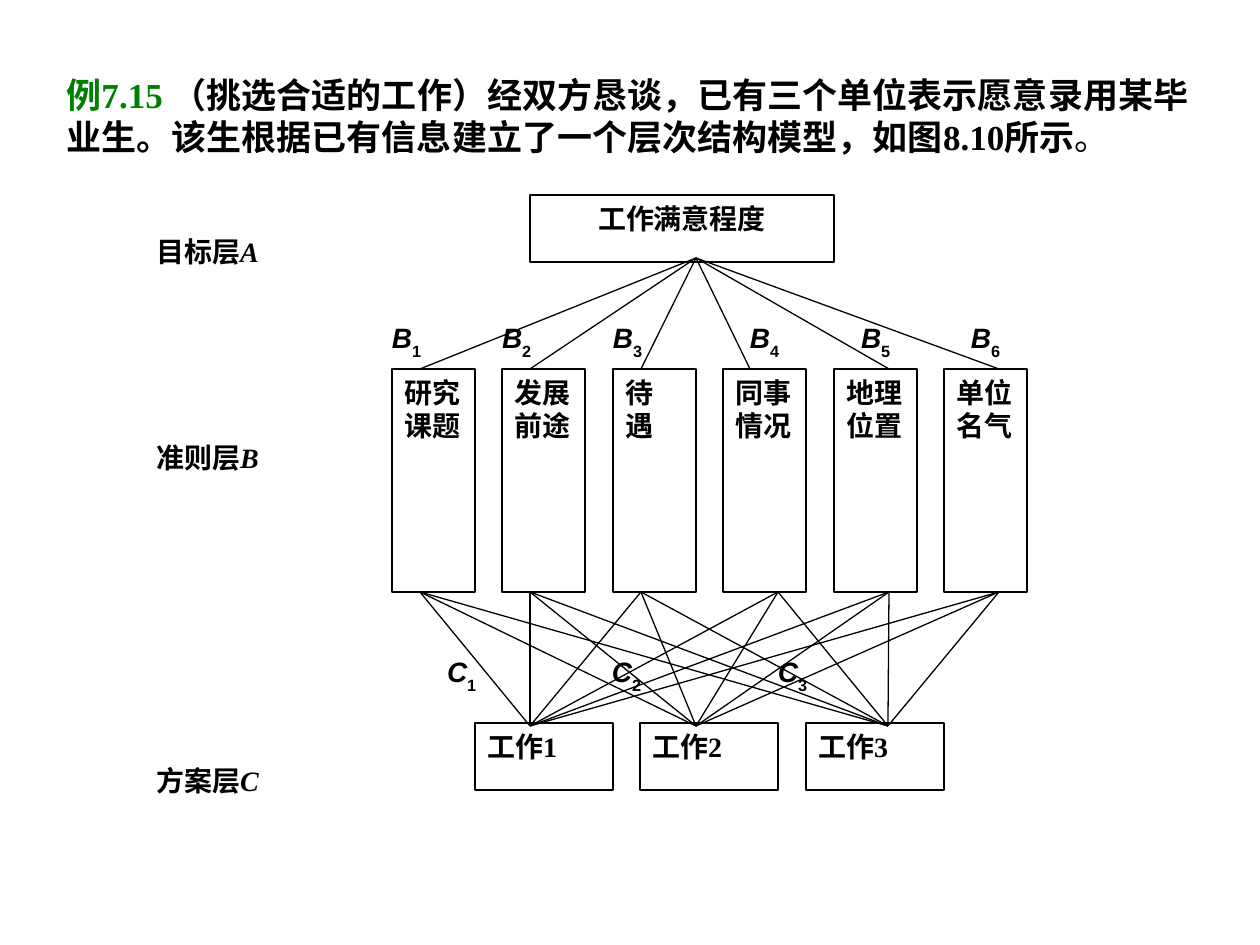
from lxml.etree import SubElement
from pptx import Presentation
from pptx.dml.color import RGBColor
from pptx.enum.shapes import MSO_CONNECTOR, MSO_SHAPE
from pptx.enum.text import MSO_ANCHOR, PP_ALIGN
from pptx.oxml.ns import qn
from pptx.util import Pt

PX = 914400 / 126
COLORS = {"ink": "000000", "paper": "FFFFFF", "green": "008000"}

deck = Presentation()
deck.slide_width, deck.slide_height = round(1260 * PX), round(945 * PX)
page = deck.slides.add_slide(deck.slide_layouts[6])


def add_text(paragraphs, place, *, framed=False, size=16, font="Times New Roman",
             align=PP_ALIGN.LEFT, anchor=MSO_ANCHOR.TOP, inset=True):
    """Each paragraph is a list of (text, format) spans; place is left, top, width, height in px."""
    place = [round(length * PX) for length in place]
    if framed:
        box = page.shapes.add_shape(MSO_SHAPE.RECTANGLE, *place)
        box.shadow.inherit = False
        box.fill.solid()
        box.fill.fore_color.rgb = RGBColor.from_string(COLORS["paper"])
        box.line.color.rgb = RGBColor.from_string(COLORS["ink"])
        box.line.width = Pt(0.75)
    else:
        box = page.shapes.add_textbox(*place)
    frame = box.text_frame
    frame.word_wrap = True
    frame.vertical_anchor = anchor
    if not inset:
        frame.margin_left = frame.margin_right = frame.margin_top = frame.margin_bottom = 0
    for index, spans in enumerate(paragraphs):
        para = frame.add_paragraph() if index else frame.paragraphs[0]
        para.alignment = align
        for text, style in spans:
            span = para.add_run()
            span.text = text
            span.font.name = font
            span.font.size = Pt(size)
            span.font.bold = style.get("bold", True)
            span.font.italic = style.get("italic", False)
            span.font.color.rgb = RGBColor.from_string(COLORS[style.get("color", "ink")])
            if style.get("subscript"):
                span.font._element.set("baseline", "-30000")


def add_line(start_x, start_y, end_x, end_y):
    ends = [round(length * PX) for length in (start_x, start_y, end_x, end_y)]
    line = page.shapes.add_connector(MSO_CONNECTOR.STRAIGHT, *ends)
    line.line.color.rgb = RGBColor.from_string(COLORS["ink"])
    line.line.width = Pt(0.75)
    SubElement(line._element.spPr, qn("a:effectLst"))


# Problem statement
add_text([[
    ("例7.15 ", {"color": "green"}),
    ("（挑选合适的工作）经双方恳谈，已有三个单位表示愿意录用某毕业生。"
     "该生根据已有信息建立了一个层次结构模型，如图8.10所示", {}),
    ("。", {"bold": False}),
]], (54, 67, 1152, 97), size=20, anchor=MSO_ANCHOR.MIDDLE)

# Names of the three levels
for name, letter, top in [("目标层", "A", 228), ("准则层", "B", 434), ("方案层", "C", 757)]:
    add_text([[(name, {}), (letter, {"italic": True})]], (144, top, 193, 34))

# Boxes of the hierarchy
CRITERIA = [["研究课题"], ["发展前途"], ["待", "遇"], ["同事情况"], ["地理位置"], ["单位名气"]]
criteria_top, criteria_height = 369, 223
criteria_bottom = criteria_top + criteria_height
criteria_lefts = [round(392 + 110.4 * column) for column in range(6)]
job_lefts = [round(475 + 165.5 * column) for column in range(3)]

add_text([[("工作满意程度", {})]], (530, 195, 304, 67), framed=True, align=PP_ALIGN.CENTER)
for lines, left in zip(CRITERIA, criteria_lefts):
    add_text([[(line, {})] for line in lines],
             (left, criteria_top, 83, criteria_height), framed=True)
for number, left in enumerate(job_lefts, 1):
    add_text([[(f"工作{number}", {})]], (left, 723, 138, 67), framed=True)

# Lines meet the left three criteria at one third, the right three at two thirds
step = 28
criteria_joints = [left + (step if column < 3 else 2 * step - 1)
                   for column, left in enumerate(criteria_lefts)]
job_joints = [530, 696, 888]

# Index labels B1-B6 and C1-C3
labels = [("B", number, joint - step, 321) for number, joint in enumerate(criteria_joints, 1)]
labels += [("C", number, left - step, 655) for number, left in enumerate(job_lefts, 1)]
for letter, number, left, top in labels:
    add_text([[(letter, {"italic": True}), (str(number), {"subscript": True})]],
             (left, top, 55, 44), font="Arial", inset=False)

# Links from the goal to the criteria and from the criteria to the jobs
for column, joint in enumerate(criteria_joints):
    add_line(696, 258, joint - step if column == 3 else joint, criteria_top)
    for job_joint in job_joints:
        add_line(joint, criteria_bottom, job_joint, 726)

deck.save("out.pptx")
